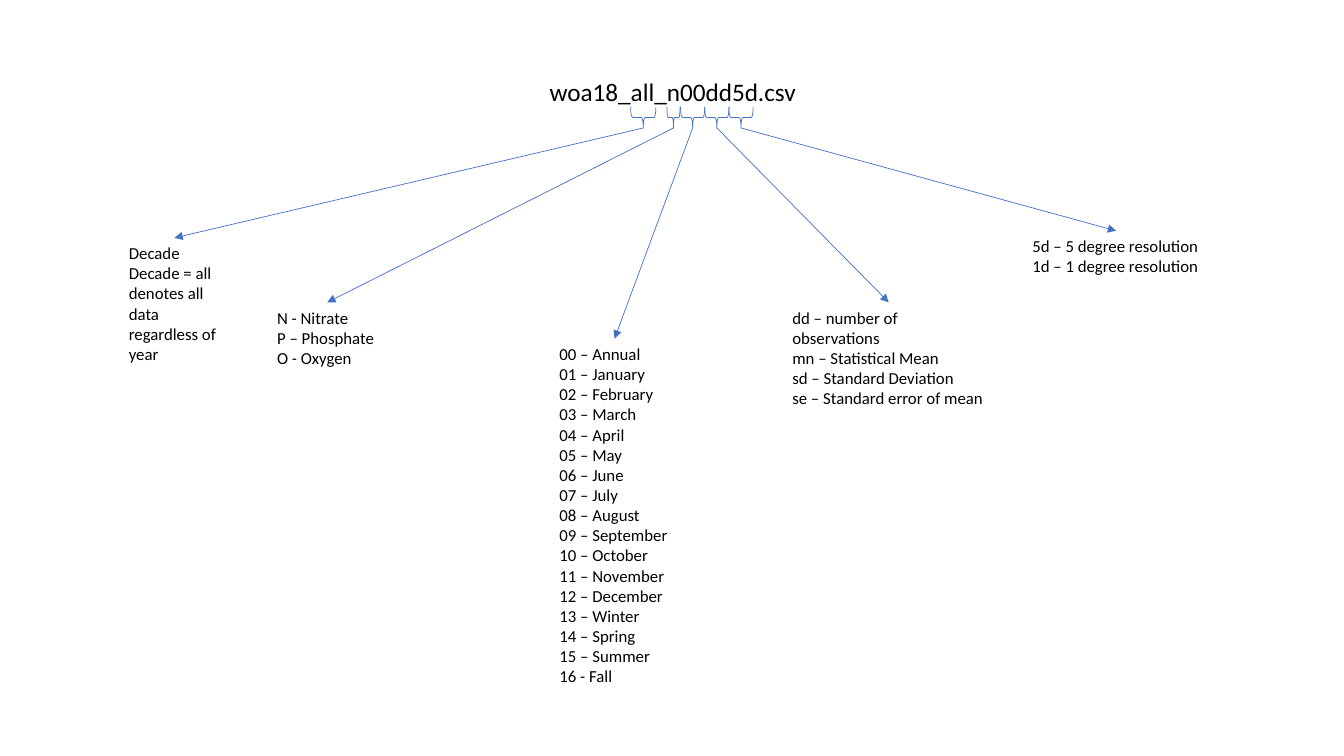
from lxml import etree
from pptx import Presentation
from pptx.dml.color import RGBColor
from pptx.enum import shapes, text
from pptx.oxml import ns
from pptx.util import Inches, Pt

BLUE = RGBColor(0x44, 0x72, 0xC4)
BLACK = RGBColor(0, 0, 0)
FONT = "Calibri"

FILE_NAME = "woa18_all_n00dd5d.csv"
PERIODS = ["Annual", "January", "February", "March", "April", "May", "June", "July",
           "August", "September", "October", "November", "December",
           "Winter", "Spring", "Summer"]
# Each part of the file name: brace centre, brace span, note box, note lines
PARTS = [
    (6.38, 0.25, (1.18, 2.36, 1.1, 1.31),
     ["Decade", "Decade = all denotes all data regardless of year"]),
    (6.68, 0.13, (2.65, 3, 1.19, 0.71),
     ["N - Nitrate", "P – Phosphate", "O - Oxygen"]),
    (6.87, 0.24, (5.45, 3.36, 1.29, 3.53),
     [f"{code:02d} – {period}" for code, period in enumerate(PERIODS)] + ["16 - Fall"]),
    (7.11, 0.24, (7.76, 3, 2.11, 1.31),
     ["dd – number of observations", "mn – Statistical Mean",
      "sd – Standard Deviation", "se – Standard error of mean"]),
    (7.35, 0.24, (10.14, 2.29, 1.86, 0.5),
     ["5d – 5 degree resolution", "1d – 1 degree resolution"]),
]
BRACE_DEPTH = 0.21
BRACE_TIP = 1.27


def fill_text(shape, lines, size):
    frame = shape.text_frame
    frame.text = "\n".join(lines)
    frame.word_wrap = True
    frame.auto_size = text.MSO_AUTO_SIZE.SHAPE_TO_FIT_TEXT
    frame.vertical_anchor = text.MSO_ANCHOR.TOP
    for paragraph in frame.paragraphs:
        paragraph.alignment = text.PP_ALIGN.LEFT
        paragraph.line_spacing = 1.0
        font = paragraph.runs[0].font
        font.name, font.size, font.color.rgb = FONT, Pt(size), BLACK


def style_line(shape):
    shape.line.color.rgb = BLUE
    shape.line.width = Pt(0.5)


def add_brace(slide, centre, span):
    """Add a brace that opens upwards, with its tip at BRACE_TIP."""
    middle = BRACE_TIP - BRACE_DEPTH / 2
    brace = slide.shapes.add_shape(
        shapes.MSO_SHAPE.LEFT_BRACE, Inches(centre - BRACE_DEPTH / 2),
        Inches(middle - span / 2), Inches(BRACE_DEPTH), Inches(span))
    brace.rotation = 270
    brace.shadow.inherit = False
    brace.fill.background()
    style_line(brace)


def add_arrow(slide, start, end):
    arrow = slide.shapes.add_connector(
        shapes.MSO_CONNECTOR.STRAIGHT, *map(Inches, start + end))
    style_line(arrow)
    etree.SubElement(arrow.line._get_or_add_ln(), ns.qn("a:tailEnd"), type="triangle")
    etree.SubElement(arrow._element.spPr, ns.qn("a:effectLst"))


def main():
    presentation = Presentation()
    presentation.slide_width, presentation.slide_height = Inches(13.33), Inches(7.5)
    slide = presentation.slides.add_slide(presentation.slide_layouts[5])

    title = slide.shapes.title
    title.left, title.top, title.width, title.height = map(Inches, (5.35, 0.71, 2.73, 0.4))
    fill_text(title, [FILE_NAME], 18)

    for centre, span, box, lines in PARTS:
        left, top, width, height = box
        add_brace(slide, centre, span)
        note = slide.shapes.add_textbox(*map(Inches, box))
        fill_text(note, lines, 12)
        add_arrow(slide, (centre, BRACE_TIP), (left + width / 2, top))

    presentation.save("out.pptx")


if __name__ == "__main__":
    main()
